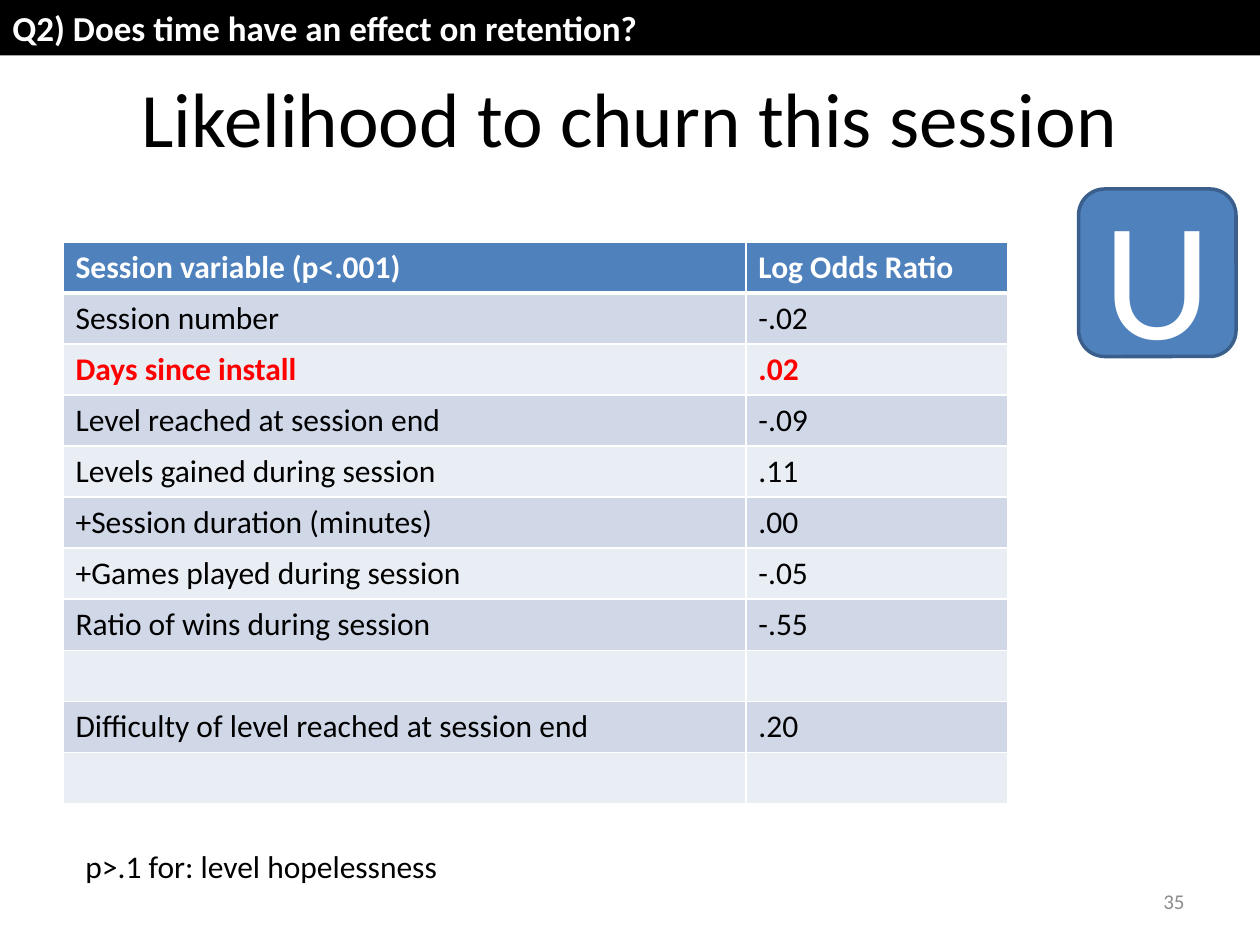
from dataclasses import dataclass
from typing import Optional

from lxml.etree import SubElement
from pptx import Presentation
from pptx.dml.color import RGBColor
from pptx.enum.shapes import MSO_SHAPE
from pptx.enum.text import MSO_ANCHOR, PP_ALIGN
from pptx.oxml.ns import qn
from pptx.util import Inches, Pt


@dataclass(frozen=True)
class Theme:
    font: str = "Calibri"
    black: str = "000000"
    white: str = "FFFFFF"
    red: str = "FF0000"
    grey: str = "8C8C8C"
    blue: str = "4F81BD"
    outline: str = "3A5F8C"
    bands: tuple = ("D0D8E8", "E9EDF4")
    title: int = 44
    badge: int = 96
    banner: int = 20
    body: int = 18
    number: int = 12


T = Theme()


@dataclass(frozen=True)
class Label:
    text: str
    box: tuple
    size: int
    color: str = T.black
    bold: bool = False
    align: PP_ALIGN = PP_ALIGN.LEFT
    anchor: MSO_ANCHOR = MSO_ANCHOR.TOP
    wrap: bool = True
    shape: Optional[MSO_SHAPE] = None
    fill: Optional[str] = None
    line: Optional[str] = None


@dataclass(frozen=True)
class Row:
    variable: str = ""
    ratio: str = ""
    highlight: bool = False


LABELS = [
    Label("Likelihood to churn this session", (0.5, 0.3, 9, 1.25), T.title,
          align=PP_ALIGN.CENTER, anchor=MSO_ANCHOR.MIDDLE),
    Label("35", (7.17, 6.95, 2.33, 0.4), T.number, T.grey,
          align=PP_ALIGN.RIGHT, anchor=MSO_ANCHOR.MIDDLE),
    Label("Q2) Does time have an effect on retention?", (0, 0, 10, 0.44),
          T.banner, T.white, True, shape=MSO_SHAPE.RECTANGLE, fill=T.black),
    Label("p>.1 for: level hopelessness", (0.58, 6.67, 3.03, 0.4), T.body,
          wrap=False),
    Label("U", (8.56, 1.5, 1.25, 1.33), T.badge, T.white,
          align=PP_ALIGN.CENTER, anchor=MSO_ANCHOR.MIDDLE,
          shape=MSO_SHAPE.ROUNDED_RECTANGLE, fill=T.blue, line=T.outline),
]

ROWS = [
    Row("Session variable (p<.001)", "Log Odds Ratio"),
    Row("Session number", "-.02"),
    Row("Days since install", ".02", True),
    Row("Level reached at session end", "-.09"),
    Row("Levels gained during session", ".11"),
    Row("+Session duration (minutes)", ".00"),
    Row("+Games played during session", "-.05"),
    Row("Ratio of wins during session", "-.55"),
    Row(),
    Row("Difficulty of level reached at session end", ".20"),
    Row(),
]
COLUMNS = (5.42, 2.08)
TABLE_TOP, TABLE_HEIGHT = 1.92, 4.46


def write(tf, text: str, size: int, color: str, bold: bool = False,
          align: PP_ALIGN = PP_ALIGN.LEFT) -> None:
    p = tf.paragraphs[0]
    p.alignment = align
    font = p.font
    if text:
        r = p.add_run()
        r.text = text
        font = r.font
    for name, value in {"name": T.font, "size": Pt(size), "bold": bold}.items():
        setattr(font, name, value)
    font.color.rgb = RGBColor.from_string(color)


def add_label(s, label: Label) -> None:
    box = [Inches(v) for v in label.box]
    if label.shape is None:
        sp = s.shapes.add_textbox(*box)
    else:
        sp = s.shapes.add_shape(label.shape, *box)
        sp.shadow.inherit = False
        sp.fill.solid()
        sp.fill.fore_color.rgb = RGBColor.from_string(label.fill)
        if label.line:
            sp.line.color.rgb = RGBColor.from_string(label.line)
            sp.line.width = Pt(2)
        else:
            sp.line.fill.background()
    tf = sp.text_frame
    tf.word_wrap = label.wrap
    tf.vertical_anchor = label.anchor
    write(tf, label.text, label.size, label.color, label.bold, label.align)


def add_borders(cell, widths: dict) -> None:
    tc_pr = cell._tc.get_or_add_tcPr()
    for side, width in widths.items():
        ln = SubElement(tc_pr, qn(f"a:ln{side}"), w=str(Pt(width)))
        fill = SubElement(ln, qn("a:solidFill"))
        SubElement(fill, qn("a:srgbClr"), val=T.white)


def add_odds_table(s, rows: list) -> None:
    table = s.shapes.add_table(
        len(rows), len(COLUMNS), Inches(0.5), Inches(TABLE_TOP),
        Inches(sum(COLUMNS)), Inches(TABLE_HEIGHT)).table
    for column, width in zip(table.columns, COLUMNS):
        column.width = Inches(width)
    for i, row in enumerate(rows):
        header = i == 0
        fill = T.blue if header else T.bands[(i - 1) % 2]
        color = T.white if header else T.red if row.highlight else T.black
        widths = {"L": 1, "R": 1, "T": 3 if i == 1 else 1, "B": 3 if header else 1}
        for j, text in enumerate((row.variable, row.ratio)):
            cell = table.cell(i, j)
            add_borders(cell, widths)
            cell.fill.solid()
            cell.fill.fore_color.rgb = RGBColor.from_string(fill)
            write(cell.text_frame, text, T.body, color, header or row.highlight)


def main() -> None:
    prs = Presentation()
    prs.slide_width, prs.slide_height = Inches(10), Inches(7.5)
    s = prs.slides.add_slide(prs.slide_layouts[6])
    title, *others = LABELS
    add_label(s, title)
    add_odds_table(s, ROWS)
    for label in others:
        add_label(s, label)
    prs.save("out.pptx")


if __name__ == "__main__":
    main()
